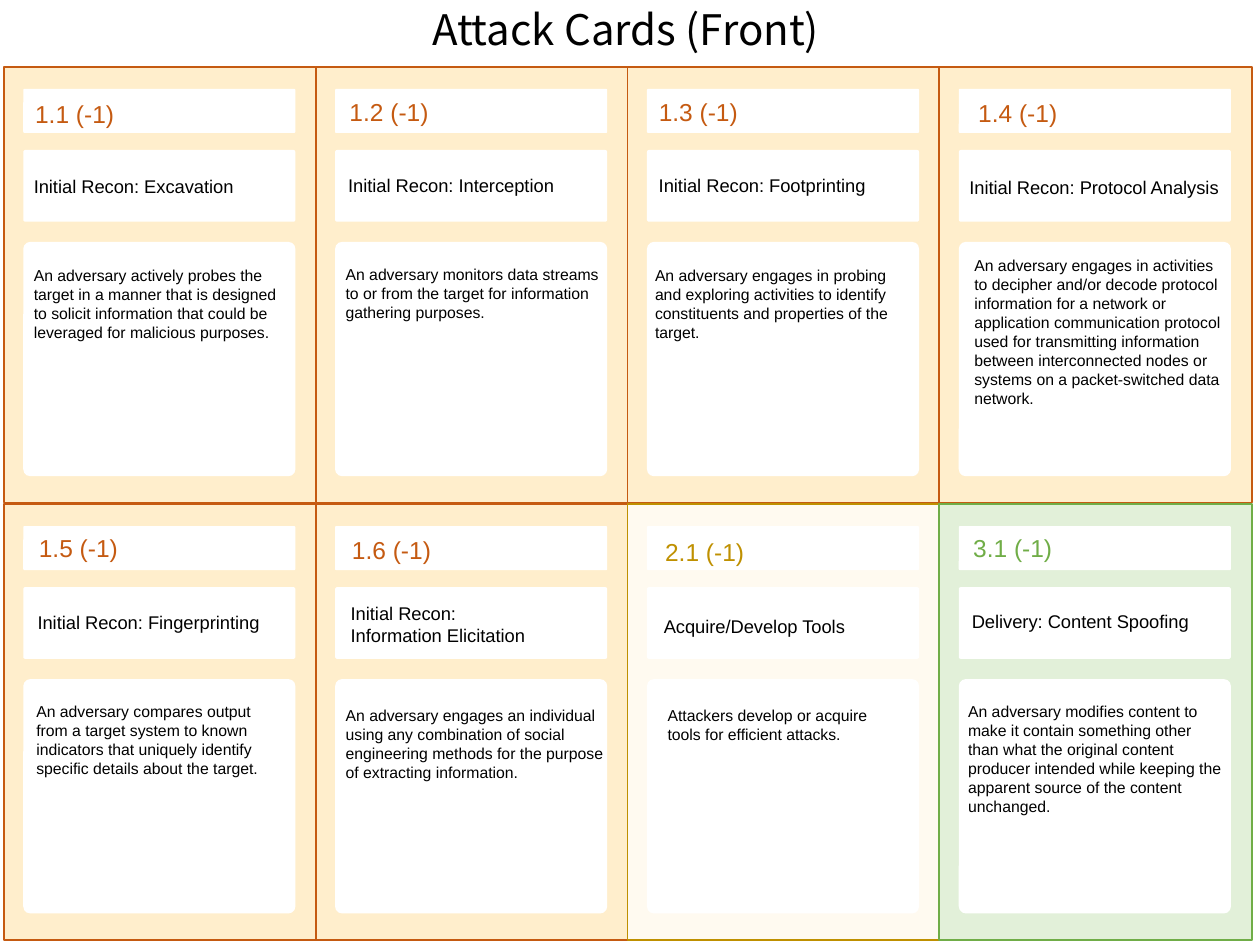
import dataclasses

import pptx
import pptx.dml.color
import pptx.enum.shapes
import pptx.enum.text
import pptx.util

GRID_COLS, GRID_ROWS = 1000, 750
CELL = pptx.util.Inches(10) // GRID_COLS
CARDS_PER_ROW = 4
CARD_LEFT, CARD_TOP = 3, 53
CARD_PITCH_X, CARD_PITCH_Y = 247.5, 347
CARD_W, CARD_H = 248, 346
PANELS = ((15.5, 17.5, 216, 35), (15.5, 66, 216, 57), (15.5, 139, 216, 186))


@dataclasses.dataclass(frozen=True)
class Theme:
    """Colours and type of the card sheet."""
    ink: str = "000000"
    paper: str = "FFFFFF"
    recon: tuple = ("FFEECC", "C55A11")
    tools: tuple = ("FFFAF0", "BF9000")
    delivery: tuple = ("E2F0D9", "70AD47")
    title_font: str = "Noto Sans CJK JP"
    card_font: str = "Arial"
    title_size: float = 24
    code_size: float = 14
    name_size: float = 10.5
    body_size: float = 9


THEME = Theme()


@dataclasses.dataclass(frozen=True)
class Card:
    """Wording of one card and the boxes of its three texts."""
    code: str
    name: str
    body: str
    colours: tuple
    code_box: tuple
    name_box: tuple
    body_box: tuple


CARDS = (
    Card("1.1 (-1)", "Initial Recon: Excavation",
         "An adversary actively probes the target in a manner that is designed "
         "to solicit information that could be leveraged for malicious purposes.",
         THEME.recon, (15, 21, 119, 34), (14, 81, 214, 29), (14, 153, 216, 71)),
    Card("1.2 (-1)", "Initial Recon: Interception",
         "An adversary monitors data streams to or from the target for "
         "information gathering purposes.",
         THEME.recon, (17, 19, 119, 34), (16, 80, 214, 29), (14, 152, 223, 56)),
    Card("1.3 (-1)", "Initial Recon: Footprinting",
         "An adversary engages in probing and exploring activities to identify "
         "constituents and properties of the target.",
         THEME.recon, (15, 19, 119, 34), (15, 80, 214, 29), (12, 153, 222, 71)),
    Card("1.4 (-1)", "Initial Recon: Protocol Analysis",
         "An adversary engages in activities to decipher and/or decode protocol "
         "information for a network or application communication protocol used "
         "for transmitting information between interconnected nodes or systems "
         "on a packet-switched data network.",
         THEME.recon, (21, 20, 119, 34), (14, 82, 227, 28), (18, 145, 223, 131)),
    Card("1.5 (-1)", "Initial Recon: Fingerprinting",
         "An adversary compares output from a target system to known indicators "
         "that uniquely identify specific details about the target.",
         THEME.recon, (18, 18, 119, 34), (17, 80, 214, 29), (16, 152, 217, 71)),
    Card("1.6 (-1)", "Initial Recon:\nInformation Elicitation",
         "An adversary engages an individual using any combination of social "
         "engineering methods for the purpose of extracting information.",
         THEME.recon, (19, 20, 119, 34), (18, 73, 214, 47), (14, 155, 228, 71)),
    Card("2.1 (-1)", "Acquire/Develop Tools",
         "Attackers develop or acquire tools for efficient attacks.",
         THEME.tools, (20, 21, 119, 34), (19, 83, 214, 29), (22, 155, 206, 40)),
    Card("3.1 (-1)", "Delivery: Content Spoofing",
         "An adversary modifies content to make it contain something other than "
         "what the original content producer intended while keeping the apparent "
         "source of the content unchanged.",
         THEME.delivery, (17, 18, 119, 34), (16, 79, 214, 29), (13, 152, 221, 101)),
)


def rgb(value):
    """Turn a hex string into a colour."""
    return pptx.dml.color.RGBColor.from_string(value)


def place(box, origin=(0, 0)):
    """Turn a box in grid cells, relative to an origin, into lengths."""
    x, y, w, h = box
    return [int(v * CELL) for v in (origin[0] + x, origin[1] + y, w, h)]


def set_all(target, values):
    """Set attributes from a dict of format values."""
    for key, value in values.items():
        setattr(target, key, value)


def write(tf, text, font, size, colour, frame):
    """Write formatted, left-aligned paragraphs into a text frame."""
    set_all(tf, frame)
    tf.text = text
    for p in tf.paragraphs:
        p.alignment = pptx.enum.text.PP_ALIGN.LEFT
        for r in p.runs:
            set_all(r.font, {"name": font, "size": pptx.util.Pt(size)})
            r.font.color.rgb = rgb(colour)


def add_title(slide, box):
    """Move and format the title placeholder on one line."""
    sp = slide.shapes.title
    set_all(sp, dict(zip(("left", "top", "width", "height"), place(box))))
    write(sp.text_frame, "Attack Cards (Front)", THEME.title_font,
          THEME.title_size, THEME.ink,
          {"word_wrap": True, "margin_top": 0, "margin_bottom": 0,
           "margin_right": 0,
           "auto_size": pptx.enum.text.MSO_AUTO_SIZE.NONE,
           "vertical_anchor": pptx.enum.text.MSO_ANCHOR.TOP})


def add_panel(slide, kind, lengths, fill, line=None):
    """Add a filled shape with an optional outline."""
    sp = slide.shapes.add_shape(kind, *lengths)
    sp.shadow.inherit = False
    sp.fill.solid()
    sp.fill.fore_color.rgb = rgb(fill)
    if line:
        sp.line.color.rgb = rgb(line)
        sp.line.width = pptx.util.Pt(1)
    else:
        sp.line.fill.background()
    return sp


def add_card(slide, card, box):
    """Draw one card with its three panels and texts inside a box."""
    shapes = pptx.enum.shapes.MSO_SHAPE
    fill, accent = card.colours
    add_panel(slide, shapes.RECTANGLE, place(box), fill, accent)
    for panel in PANELS:
        sp = add_panel(slide, shapes.ROUNDED_RECTANGLE,
                       place(panel, box), THEME.paper)
        sp.adjustments[0] = 0.03
    texts = ((card.code, card.code_box, THEME.code_size, accent),
             (card.name, card.name_box, THEME.name_size, THEME.ink),
             (card.body, card.body_box, THEME.body_size, THEME.ink))
    for text, text_box, size, colour in texts:
        sp = slide.shapes.add_textbox(*place(text_box, box))
        write(sp.text_frame, text, THEME.card_font, size, colour,
              {"word_wrap": True,
               "auto_size": pptx.enum.text.MSO_AUTO_SIZE.SHAPE_TO_FIT_TEXT})


def main():
    """Build the sheet of cards and save it."""
    prs = pptx.Presentation()
    set_all(prs, {"slide_width": GRID_COLS * CELL,
                  "slide_height": GRID_ROWS * CELL})
    slide = prs.slides.add_slide(prs.slide_layouts.get_by_name("Title Only"))
    add_title(slide, (333, 3, 350, 50))
    for i, card in enumerate(CARDS):
        row, col = divmod(i, CARDS_PER_ROW)
        add_card(slide, card, (CARD_LEFT + col * CARD_PITCH_X,
                               CARD_TOP + row * CARD_PITCH_Y, CARD_W, CARD_H))
    prs.save("out.pptx")


if __name__ == "__main__":
    main()
